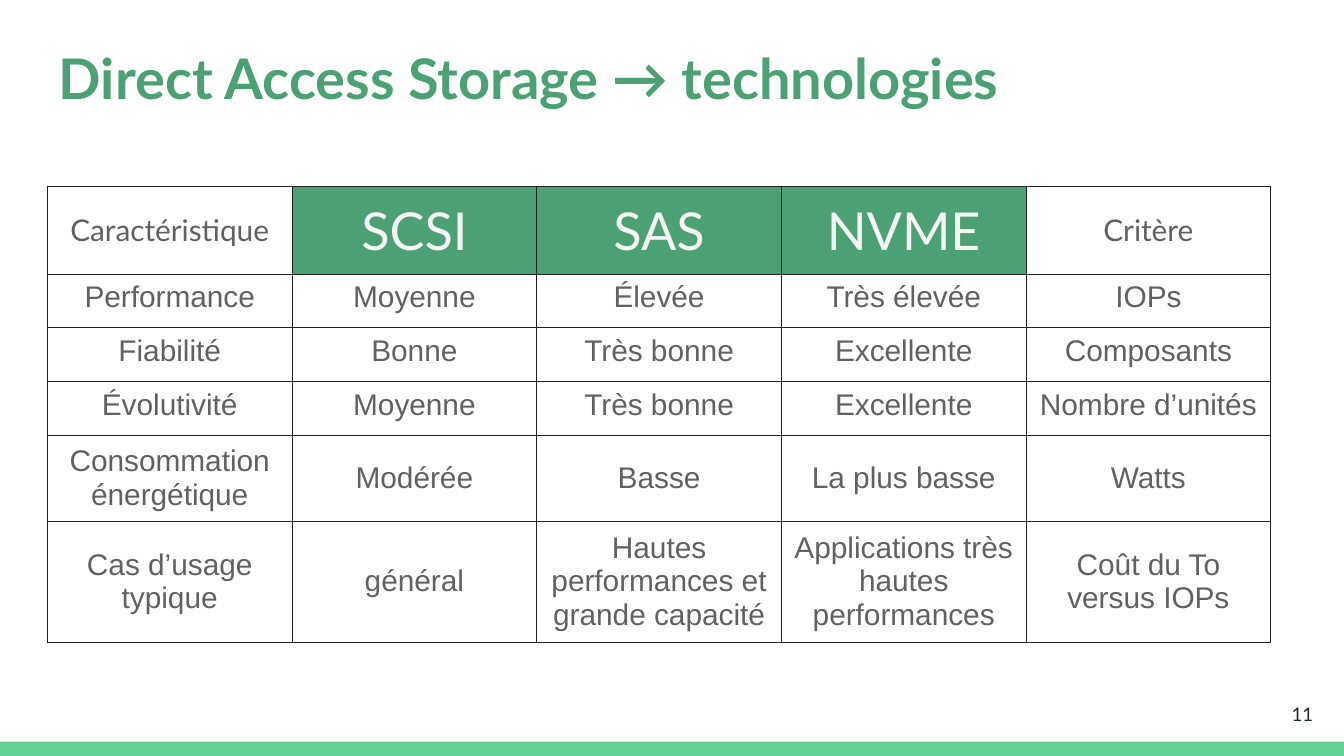
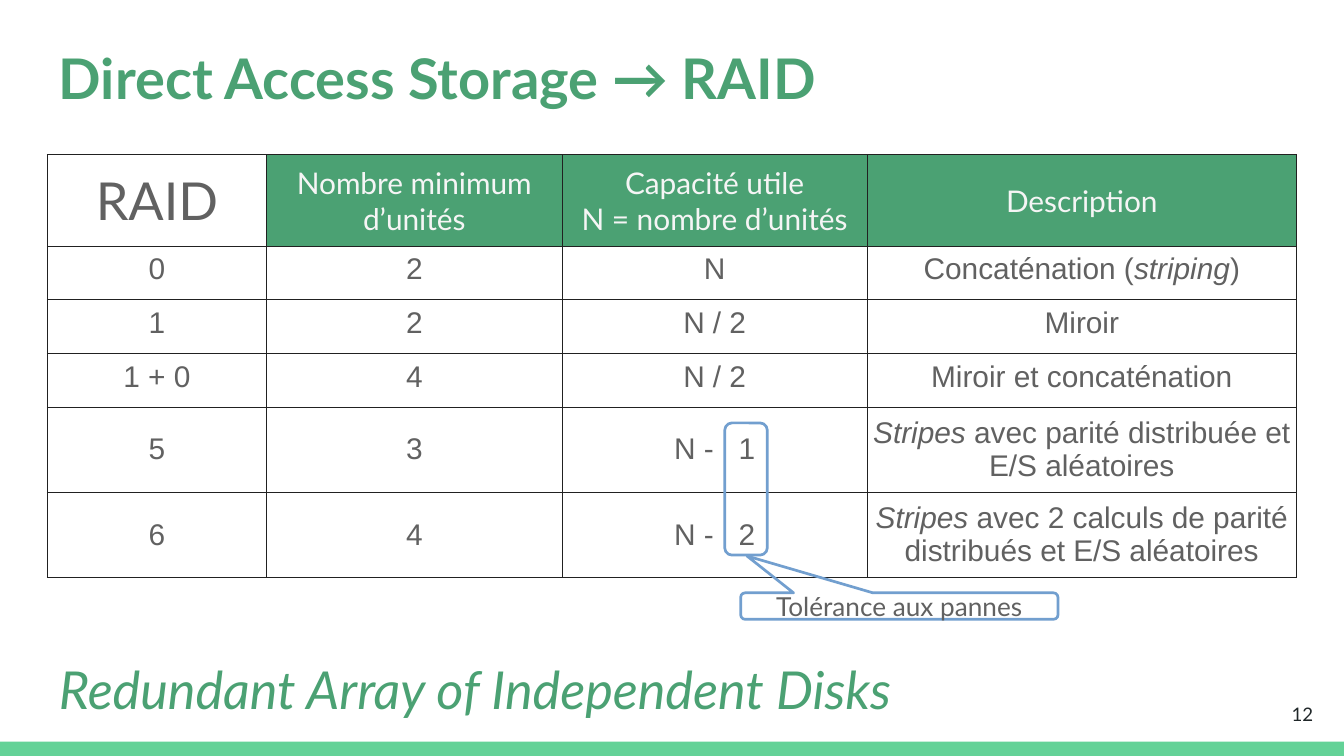
from dataclasses import dataclass
from typing import NamedTuple

from lxml.etree import SubElement
from pptx import Presentation
from pptx.dml.color import RGBColor
from pptx.enum.shapes import MSO_SHAPE
from pptx.enum.text import MSO_ANCHOR, PP_ALIGN
from pptx.oxml.ns import qn
from pptx.util import Pt


# Theme
class TextStyle(NamedTuple):
    size: float
    color: str
    font: str = "Lato"
    bold: bool = False
    italic: bool = False


@dataclass(frozen=True)
class Theme:
    green: str = "4BA173"
    band: str = "63D297"
    border: str = "212121"
    outline: str = "729FCF"
    border_width: float = 0.57
    outline_width: float = 1.45
    title: TextStyle = TextStyle(30, "4BA173", bold=True)
    motto: TextStyle = TextStyle(28, "4BA173", italic=True)
    page: TextStyle = TextStyle(10, "202729")
    head_big: TextStyle = TextStyle(28, "F5F5F5")
    head_small: TextStyle = TextStyle(16, "F5F5F5")
    corner_big: TextStyle = TextStyle(28, "616161")
    corner_small: TextStyle = TextStyle(16, "616161")
    body: TextStyle = TextStyle(16, "616161", "Arial")
    callout: TextStyle = TextStyle(14, "616161")


THEME = Theme()


# Content parts
class Box(NamedTuple):
    left: float
    top: float
    width: float
    height: float

    def points(self) -> tuple:
        return tuple(Pt(length) for length in self)


class Span(NamedTuple):
    text: str
    italic: bool = False
    spacing: float = 0


class Heading(NamedTuple):
    text: str
    style: TextStyle
    fill: str | None = None


@dataclass(frozen=True)
class Comparison:
    left: float
    top: float
    widths: list
    heights: list
    headings: list
    rows: list


# Text
def write(frame, content, style: TextStyle, align=PP_ALIGN.LEFT):
    """Fill the first paragraph with a string or a sequence of spans."""
    paragraph = frame.paragraphs[0]
    paragraph.alignment = align
    font = paragraph.font
    font.name, font.size = style.font, Pt(style.size)
    font.bold = style.bold
    font.color.rgb = RGBColor.from_string(style.color)
    spans = [Span(content, style.italic)] if isinstance(content, str) else content
    if len({span.italic for span in spans}) == 1:
        font.italic = spans[0].italic
    for span in spans:
        for index, line in enumerate(span.text.split("\n")):
            if index:
                paragraph.add_line_break()
            run = paragraph.add_run()
            run.text = line
            if span.italic != font.italic:
                run.font.italic = span.italic
            if span.spacing:
                run._r.get_or_add_rPr().set("spc", str(int(span.spacing * 100)))
    return paragraph


def set_margins(target, horizontal: float, vertical: float) -> None:
    target.margin_left = target.margin_right = Pt(horizontal)
    target.margin_top = target.margin_bottom = Pt(vertical)


def add_text(slide, box: Box, text: str, style: TextStyle,
             align=PP_ALIGN.LEFT, anchor=MSO_ANCHOR.TOP):
    frame = slide.shapes.add_textbox(*box.points()).text_frame
    frame.word_wrap = True
    frame.vertical_anchor = anchor
    set_margins(frame, 7.2, 7.2)
    return write(frame, text, style, align)


# Shapes
def add_outline(slide, preset, box: Box, adjustments: list):
    shape = slide.shapes.add_shape(preset, *box.points())
    shape.shadow.inherit = False
    shape.fill.background()
    shape.line.color.rgb = RGBColor.from_string(THEME.outline)
    shape.line.width = Pt(THEME.outline_width)
    for index, value in enumerate(adjustments):
        shape.adjustments[index] = value
    return shape


def add_page(deck, title: str, number: int):
    """Blank slide with the shared band, title and page number."""
    slide = deck.slides.add_slide(deck.slide_layouts[6])
    band = slide.shapes.add_shape(MSO_SHAPE.RECTANGLE,
                                  *Box(0, 397.4, 720, 7.6).points())
    band.shadow.inherit = False
    band.fill.solid()
    band.fill.fore_color.rgb = RGBColor.from_string(THEME.band)
    band.line.fill.background()
    heading = add_text(slide, Box(24.5, 10.8, 671, 45.4), title, THEME.title)
    heading.line_spacing = 1.15
    heading.space_after = Pt(12)
    add_text(slide, Box(667.4, 367.2, 43.2, 31), str(number), THEME.page,
             PP_ALIGN.RIGHT, MSO_ANCHOR.MIDDLE)
    return slide


# Tables
def add_borders(cell) -> None:
    properties = cell._tc.get_or_add_tcPr()
    for side in ("a:lnL", "a:lnR", "a:lnT", "a:lnB"):
        line = SubElement(properties, qn(side), w=str(Pt(THEME.border_width)))
        fill = SubElement(line, qn("a:solidFill"))
        SubElement(fill, qn("a:srgbClr"), val=THEME.border)


def fill_cell(cell, content, style: TextStyle, fill: str | None, anchor) -> None:
    set_margins(cell, 2.9, 3.6)
    cell.vertical_anchor = anchor
    add_borders(cell)
    if fill:
        cell.fill.solid()
        cell.fill.fore_color.rgb = RGBColor.from_string(fill)
    else:
        cell.fill.background()
    write(cell.text_frame, content, style, PP_ALIGN.CENTER)


def add_comparison(slide, comparison: Comparison) -> None:
    widths, heights = comparison.widths, comparison.heights
    box = Box(comparison.left, comparison.top, sum(widths), sum(heights))
    table = slide.shapes.add_table(len(heights), len(widths), *box.points()).table
    table.first_row = table.horz_banding = False
    for column, width in zip(table.columns, widths):
        column.width = Pt(width)
    for row, height in zip(table.rows, heights):
        row.height = Pt(height)
    for index, heading in enumerate(comparison.headings):
        fill_cell(table.cell(0, index), *heading, MSO_ANCHOR.MIDDLE)
    for row_index, row in enumerate(comparison.rows, start=1):
        # The three short rows sit at the top, the tall ones in the middle
        anchor = MSO_ANCHOR.TOP if row_index <= 3 else MSO_ANCHOR.MIDDLE
        for index, content in enumerate(row):
            fill_cell(table.cell(row_index, index), content, THEME.body, None, anchor)


def tolerance(disks: int) -> list:
    """Usable capacity, with a wide gap before the number of spare disks."""
    return [Span("N -"), Span(" ", spacing=8.9), Span(str(disks))]


TECHNOLOGIES = Comparison(
    25.4, 99.8, [131.1] * 5, [47, 28.8, 28.8, 28.8, 46, 46],
    [Heading("Caractéristique", THEME.corner_small),
     *(Heading(name, THEME.head_big, THEME.green) for name in ("SCSI", "SAS", "NVME")),
     Heading("Critère", THEME.corner_small)],
    [["Performance", "Moyenne", "Élevée", "Très élevée", "IOPs"],
     ["Fiabilité", "Bonne", "Très bonne", "Excellente", "Composants"],
     ["Évolutivité", "Moyenne", "Très bonne", "Excellente", "Nombre d’unités"],
     ["Consommation\nénergétique", "Modérée", "Basse", "La plus basse", "Watts"],
     ["Cas d’usage typique", "général", "Hautes performances et grande capacité",
      "Applications très hautes performances", "Coût du To versus IOPs"]],
)

RAID_LEVELS = Comparison(
    25.4, 83, [117.4, 158.4, 163.4, 230], [49, 28.7, 28.7, 28.7, 45.7, 45.7],
    [Heading("RAID", THEME.corner_big),
     *(Heading(name, THEME.head_small, THEME.green) for name in (
         "Nombre minimum d’unités", "Capacité utile\nN = nombre d’unités",
         "Description"))],
    [["0", "2", "N", [Span("Concaténation ("), Span("striping", True), Span(")")]],
     ["1", "2", "N / 2", "Miroir"],
     ["1 + 0", "4", "N / 2", "Miroir et concaténation"],
     ["5", "3", tolerance(1),
      [Span("Stripes", True), Span(" avec parité distribuée et E/S aléatoires")]],
     ["6", "4", tolerance(2),
      [Span("Stripes", True),
       Span(" avec 2 calculs de parité distribués et E/S aléatoires")]]],
)


def main() -> None:
    deck = Presentation()
    deck.slide_width, deck.slide_height = Pt(720), Pt(405)

    # Technologies
    technologies = add_page(deck, "Direct Access Storage → technologies", 11)
    add_comparison(technologies, TECHNOLOGIES)

    # RAID levels
    raid = add_page(deck, "Direct Access Storage → RAID", 12)
    add_comparison(raid, RAID_LEVELS)
    motto = add_text(raid, Box(24.5, 339.8, 671, 53.3),
                     "Redundant Array of Independent Disks", THEME.motto)
    motto.line_spacing = 1.15
    motto.space_before = Pt(11.3)

    # Fault tolerance callout
    add_outline(raid, MSO_SHAPE.ROUNDED_RECTANGLE, Box(388.3, 226.6, 22.8, 70.8), [0.17])
    callout = add_outline(raid, MSO_SHAPE.ROUNDED_RECTANGULAR_CALLOUT,
                          Box(396.8, 317.6, 170, 14.2), [-0.48, -1.89, 0.17])
    callout.text_frame.vertical_anchor = MSO_ANCHOR.MIDDLE
    set_margins(callout.text_frame, 7.9, 4.3)
    write(callout.text_frame, "Tolérance aux pannes", THEME.callout, PP_ALIGN.CENTER)

    deck.save("out.pptx")


if __name__ == "__main__":
    main()
